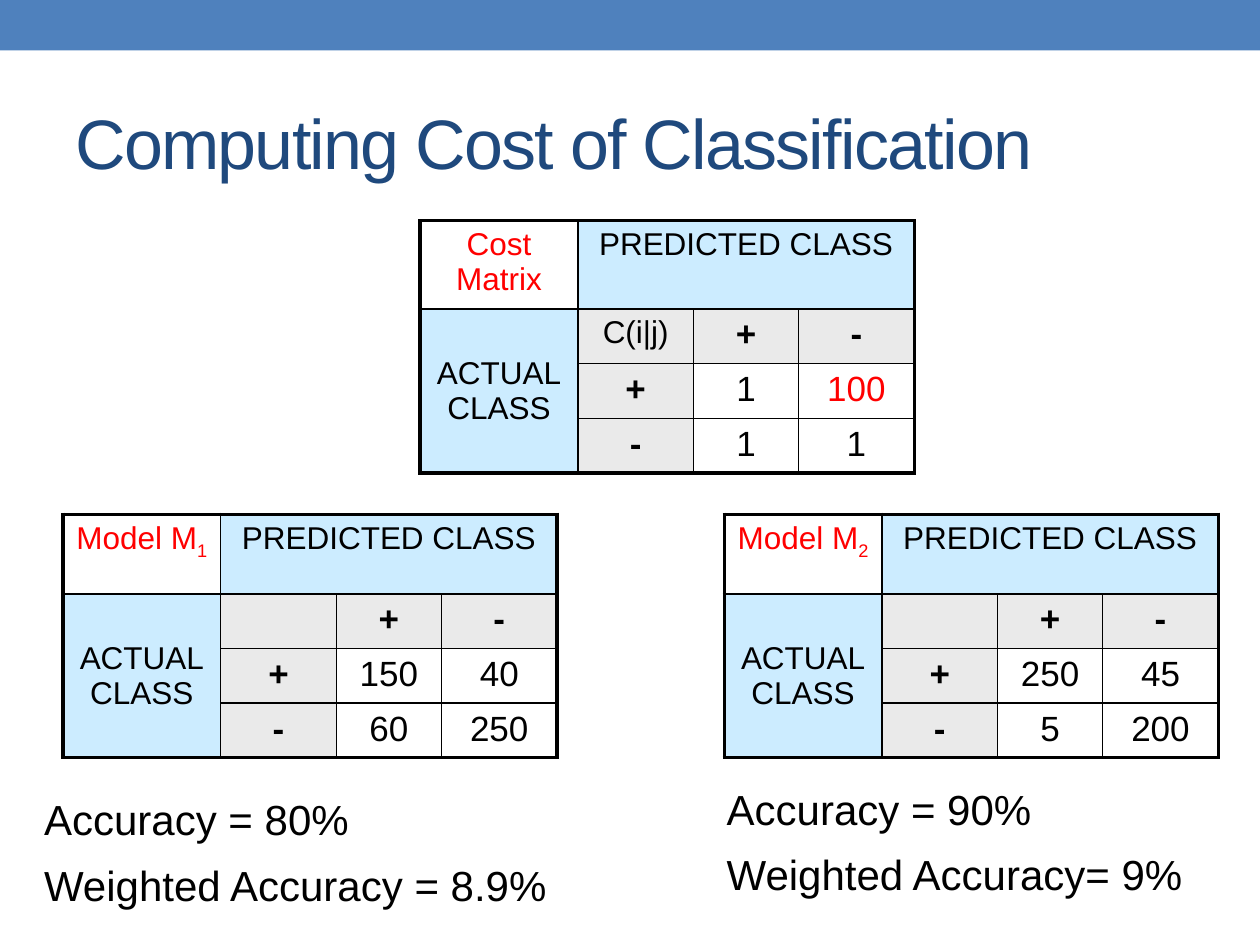
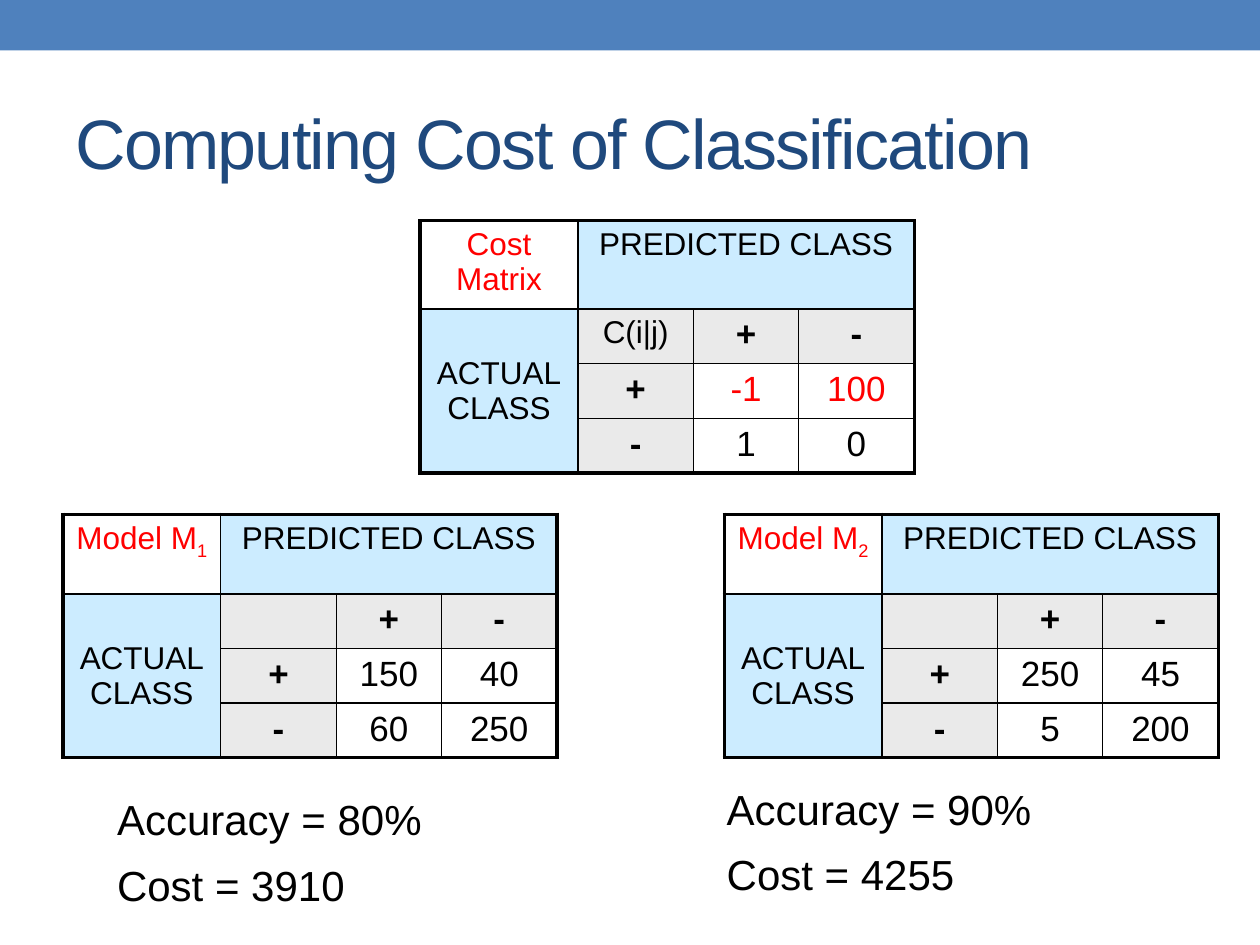
"""Two slides that compare classifiers by cost matrix and confusion matrix."""
from dataclasses import dataclass

from lxml import etree
from pptx import Presentation
from pptx import util as u
from pptx.dml.color import RGBColor
from pptx.enum import shapes, text
from pptx.oxml import ns

BAND_BLUE = RGBColor(0x4F, 0x81, 0xBD)
TITLE_BLUE = RGBColor(0x1F, 0x49, 0x7D)
CLASS_BLUE = RGBColor(0xCC, 0xEC, 0xFF)
HEAD_GREY = RGBColor(0xEA, 0xEA, 0xEA)
RED = RGBColor(0xFF, 0x00, 0x00)
BLACK = RGBColor(0x00, 0x00, 0x00)

TITLE = "Computing Cost of Classification"
COLUMN_WIDTHS = (3.18, 2.33, 2.12, 2.33)
ROW_HEIGHTS = (1.6, 1.04, 1.04, 1.1)
OUTER_LINE, INNER_LINE = u.Pt(2.25), u.Pt(1)


@dataclass(frozen=True)
class Matrix:
    """A two-class matrix; an underscore in the name starts a subscript."""
    name: str
    left: float
    top: float
    values: tuple
    corner: str = ""
    alerts: tuple = ()


@dataclass(frozen=True)
class Result:
    """Lines of text that stand below a matrix."""
    left: float
    top: float
    width: float
    lines: tuple


MODELS = (
    Matrix("Model M_1", 1.27, 10.37, (("150", "40"), ("60", "250"))),
    Matrix("Model M_2", 14.6, 10.37, (("250", "45"), ("5", "200"))),
)


def cost_matrix(values: tuple, alerts: tuple) -> Matrix:
    """Return the cost matrix at its shared place."""
    return Matrix("Cost Matrix", 8.47, 4.45, values, "C(i|j)", alerts)


SLIDES = (
    (cost_matrix((("1", "100"), ("1", "1")), ("100",)),
     (Result(0.64, 15.88, 10.8, ("Accuracy = 80%", "Weighted Accuracy = 8.9%")),
      Result(14.4, 15.67, 10.36, ("Accuracy = 90%", "Weighted Accuracy= 9%")))),
    (cost_matrix((("-1", "100"), ("1", "0")), ("-1", "100")),
     (Result(2.11, 15.88, 8.46, ("Accuracy = 80%", "Cost = 3910")),
      Result(14.4, 15.67, 8.46, ("Accuracy = 90%", "Cost = 4255")))),
)


def style_runs(para, size: float, color: RGBColor, bold: bool = False) -> None:
    """Give every run of a paragraph the same font."""
    looks = {"name": "Arial", "size": u.Pt(size), "bold": bold}
    for span in para.runs:
        for key, value in looks.items():
            setattr(span.font, key, value)
        span.font.color.rgb = color


def add_box(page, left: float, top: float, width: float, height: float):
    """Add a wrapping text box and return its text frame."""
    box = page.shapes.add_textbox(*map(u.Cm, (left, top, width, height)))
    box.text_frame.word_wrap = True
    return box.text_frame


def draw_frame(page) -> None:
    """Draw the top band and the title."""
    band = page.shapes.add_shape(shapes.MSO_SHAPE.RECTANGLE, 0, 0, u.Cm(25.4), u.Cm(1.02))
    band.shadow.inherit = False
    band.fill.solid()
    band.fill.fore_color.rgb = BAND_BLUE
    band.line.fill.background()
    frame = add_box(page, 1.27, 1.48, 22.86, 2.75)
    frame.vertical_anchor = text.MSO_ANCHOR.MIDDLE
    para = frame.paragraphs[0]
    para.text = TITLE
    style_runs(para, 40, TITLE_BLUE)
    para.runs[0]._r.get_or_add_rPr().set("spc", "-100")


def set_borders(cell, row: int, column: int) -> None:
    """Draw thick lines on the table's edge and thin ones inside."""
    at_edge = {
        "lnL": column == 0,
        "lnR": column + cell.span_width == len(COLUMN_WIDTHS),
        "lnT": row == 0,
        "lnB": row + cell.span_height == len(ROW_HEIGHTS),
    }
    properties = cell._tc.get_or_add_tcPr()
    for side, outer in at_edge.items():
        width = OUTER_LINE if outer else INNER_LINE
        line = etree.SubElement(properties, ns.qn(f"a:{side}"), w=str(int(width)))
        fill = etree.SubElement(line, ns.qn("a:solidFill"))
        etree.SubElement(fill, ns.qn("a:srgbClr"), val=str(BLACK))


def write_cell(cell, words: str, size: float, color: RGBColor, bold: bool) -> None:
    """Write centred words, with any part after an underscore as a subscript."""
    para = cell.text_frame.paragraphs[0]
    base, _, subscript = words.partition("_")
    para.text = base
    if subscript:
        small = para.add_run()
        small.text = subscript
        small._r.get_or_add_rPr().set("baseline", "-25000")
    para.alignment = text.PP_ALIGN.CENTER
    style_runs(para, size, color, bold)


def draw_matrix(page, matrix: Matrix) -> None:
    """Draw a matrix as a table with merged class headings."""
    frame = page.shapes.add_table(
        len(ROW_HEIGHTS), len(COLUMN_WIDTHS), u.Cm(matrix.left), u.Cm(matrix.top),
        u.Cm(sum(COLUMN_WIDTHS)), u.Cm(sum(ROW_HEIGHTS)))
    table = frame.table
    table.first_row = table.horz_banding = False
    for column, width in zip(table.columns, COLUMN_WIDTHS):
        column.width = u.Cm(width)
    for row, height in zip(table.rows, ROW_HEIGHTS):
        row.height = u.Cm(height)
    table.cell(0, 1).merge(table.cell(0, 3))
    table.cell(1, 0).merge(table.cell(3, 0))
    table.cell(1, 0).vertical_anchor = text.MSO_ANCHOR.MIDDLE

    grid = (
        (matrix.name, "PREDICTED CLASS", "", ""),
        ("ACTUAL\vCLASS", matrix.corner, "+", "-"),
        ("", "+", *matrix.values[0]),
        ("", "-", *matrix.values[1]),
    )
    for r, words_in_row in enumerate(grid):
        for c, words in enumerate(words_in_row):
            cell = table.cell(r, c)
            if cell.is_spanned:
                continue
            set_borders(cell, r, c)
            is_label = r == 0 or c == 0 or (r, c) == (1, 1)
            is_value = r > 1 and c > 1
            if is_value or (r, c) == (0, 0):
                cell.fill.background()
            else:
                cell.fill.solid()
                cell.fill.fore_color.rgb = CLASS_BLUE if 0 in (r, c) else HEAD_GREY
            is_red = (r, c) == (0, 0) or (is_value and words in matrix.alerts)
            write_cell(cell, words, 18 if is_label else 20,
                       RED if is_red else BLACK, not is_label and not is_value)


def draw_result(page, result: Result) -> None:
    """Write the result lines of one model."""
    frame = add_box(page, result.left, result.top, result.width, 2.75)
    frame.text = "\n".join(result.lines)
    for para in frame.paragraphs:
        para.space_after = u.Pt(8.6)
        style_runs(para, 24, BLACK)


def main() -> None:
    """Build and save the deck."""
    deck = Presentation()
    deck.slide_width, deck.slide_height = u.Cm(25.4), u.Cm(19.05)
    for costs, results in SLIDES:
        page = deck.slides.add_slide(deck.slide_layouts[6])
        draw_frame(page)
        for matrix in (costs, *MODELS):
            draw_matrix(page, matrix)
        for result in results:
            draw_result(page, result)
    deck.save("out.pptx")


if __name__ == "__main__":
    main()
